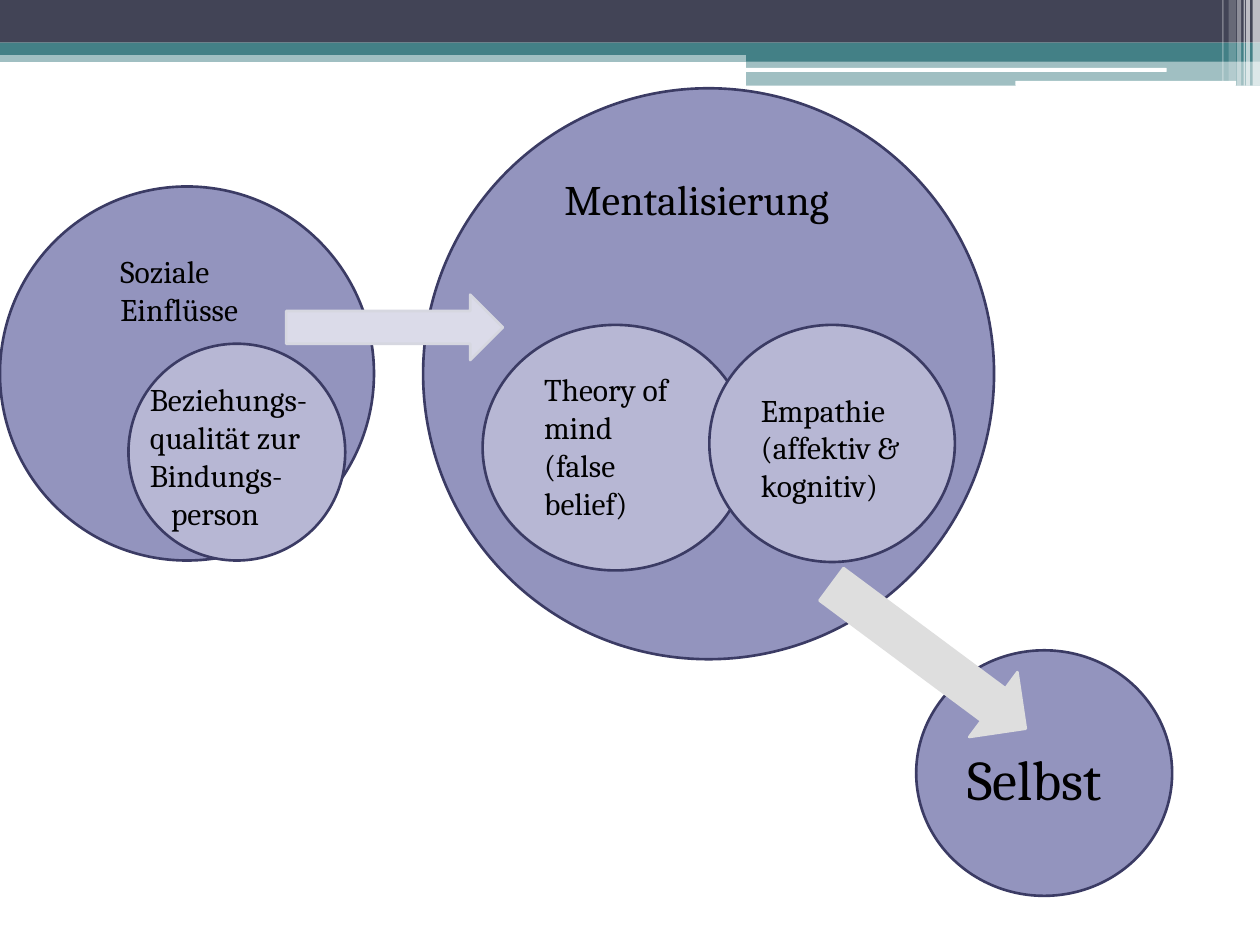
from lxml import etree
from pptx import Presentation
from pptx import util as u
from pptx.dml.color import RGBColor
from pptx.enum import shapes, text
from pptx.oxml.ns import qn

WIDTH, HEIGHT = 25.4, 19.05
FONT = "Cambria"
TEAL, DARK, WHITE = "438086", "424456", "FFFFFF"
LILAC, PALE, OUTLINE = "9394BE", "B7B7D4", "3B3B64"
RECTANGLE = shapes.MSO_SHAPE.RECTANGLE
ROUNDED = shapes.MSO_SHAPE.ROUNDED_RECTANGLE
OVAL = shapes.MSO_SHAPE.OVAL
ARROW = shapes.MSO_SHAPE.RIGHT_ARROW

# Boxes are left, top, width, height in centimetres.
PANEL_LEFT = 15.04
PANEL_WIDTH = WIDTH - PANEL_LEFT
HEADER_BARS = [  # kind, box, colour, opacity in percent
    (RECTANGLE, (0, 1.02, WIDTH, 0.23), TEAL, 50),
    (RECTANGLE, (0, 0, WIDTH, 0.86), DARK, 100),
    (RECTANGLE, (0, 0.86, WIDTH, 0.25), TEAL, 100),
    (RECTANGLE, (PANEL_LEFT, 0.99, PANEL_WIDTH, 0.25), TEAL, 100),
    (RECTANGLE, (PANEL_LEFT, 1.22, PANEL_WIDTH, 0.51), TEAL, 50),
    (ROUNDED, (15.01, 1.37, 8.51, 0.08), WHITE, 100),
    (ROUNDED, (20.47, 1.63, 4.45, 0.1), WHITE, 100),
]
STRIPES = [  # left, width, height, opacity in percent
    (25.25, 0.15, 1.73, 65), (25.12, 0.08, 1.73, 65), (25.07, 0.03, 1.73, 60),
    (24.94, 0.08, 1.73, 40), (24.77, 0.15, 1.63, 20), (24.64, 0.03, 1.63, 30),
]
CIRCLES = [  # box, colour
    ((0, 3.76, 7.54, 7.54), LILAC),
    ((8.53, 1.78, 11.51, 11.51), LILAC),
    ((18.47, 13.11, 5.16, 4.95), LILAC),
    ((2.59, 6.93, 4.37, 4.37), PALE),
    ((9.73, 6.55, 5.36, 4.95), PALE),
    ((14.3, 6.55, 4.95, 4.78), PALE),
]
LABELS = [  # box, size in points, paragraphs as (text, indent)
    ((11.13, 3.38, 7.34, 2.29), 24, [("Mentalisierung", 0)]),
    ((19.25, 14.88, 3.76, 1.63), 32, [("Selbst", 0)]),
    ((2.77, 7.54, 4.95, 3.3), 18,
     [("Beziehungs-qualität zur Bindungs-", 0), ("person", 0.43)]),
    ((10.72, 7.34, 3.18, 3.3), 18, [("Theory of mind (false belief)", 0)]),
    ((15.09, 7.75, 3.58, 3.3), 18, [("Empathie (affektiv & kognitiv)", 0)]),
    ((2.18, 4.95, 3.96, 1.78), 18, [("Soziale Einflüsse", 0)]),
]
ARROWS = [  # box, rotation, fill, line
    ((5.77, 5.94, 4.37, 1.32), 0, "DBDBE9", "D6D7E0"),
    ((16.28, 12.42, 4.88, 1.63), 36.6, "DEDEDE", "DEDEDE"),
]


def color(value):
    return RGBColor.from_string(value)


def lengths(box):
    return [u.Cm(value) for value in box]


def add_figure(slide, kind, box, fill, line=None, opacity=100, rotation=0):
    shape = slide.shapes.add_shape(kind, *lengths(box))
    shape.shadow.inherit = False
    shape.rotation = rotation
    shape.fill.solid()
    shape.fill.fore_color.rgb = color(fill)
    if opacity < 100:
        fill_color = shape.fill._xPr.find(qn("a:solidFill"))[0]
        etree.SubElement(fill_color, qn("a:alpha")).set("val", str(opacity * 1000))
    if line:
        shape.line.color.rgb = color(line)
        shape.line.width = u.Pt(1.5)
    else:
        shape.line.fill.background()


def add_label(slide, paragraphs, box, size, font=FONT, fill="000000"):
    frame = slide.shapes.add_textbox(*lengths(box)).text_frame
    frame.word_wrap = True
    frame.auto_size = text.MSO_AUTO_SIZE.NONE
    for index, (wording, indent) in enumerate(paragraphs):
        paragraph = frame.add_paragraph() if index else frame.paragraphs[0]
        if indent:
            paragraph._p.get_or_add_pPr().set("marL", str(u.Cm(indent)))
        run = paragraph.add_run()
        run.text = wording
        run.font.name = font
        run.font.size = u.Pt(size)
        run.font.color.rgb = color(fill)


def main():
    presentation = Presentation()
    presentation.slide_width, presentation.slide_height = u.Cm(WIDTH), u.Cm(HEIGHT)
    slide = presentation.slides.add_slide(presentation.slide_layouts[6])

    for kind, box, fill, opacity in HEADER_BARS:
        add_figure(slide, kind, box, fill, opacity=opacity)
    for left, width, height, opacity in STRIPES:
        add_figure(slide, RECTANGLE, (left, 0, width, height), WHITE, opacity=opacity)
    for box, fill in CIRCLES:
        add_figure(slide, OVAL, box, fill, line=OUTLINE)
    for box, size, paragraphs in LABELS:
        add_label(slide, paragraphs, box, size)
    for box, rotation, fill, line in ARROWS:
        add_figure(slide, ARROW, box, fill, line=line, rotation=rotation)

    presentation.save("out.pptx")


if __name__ == "__main__":
    main()
